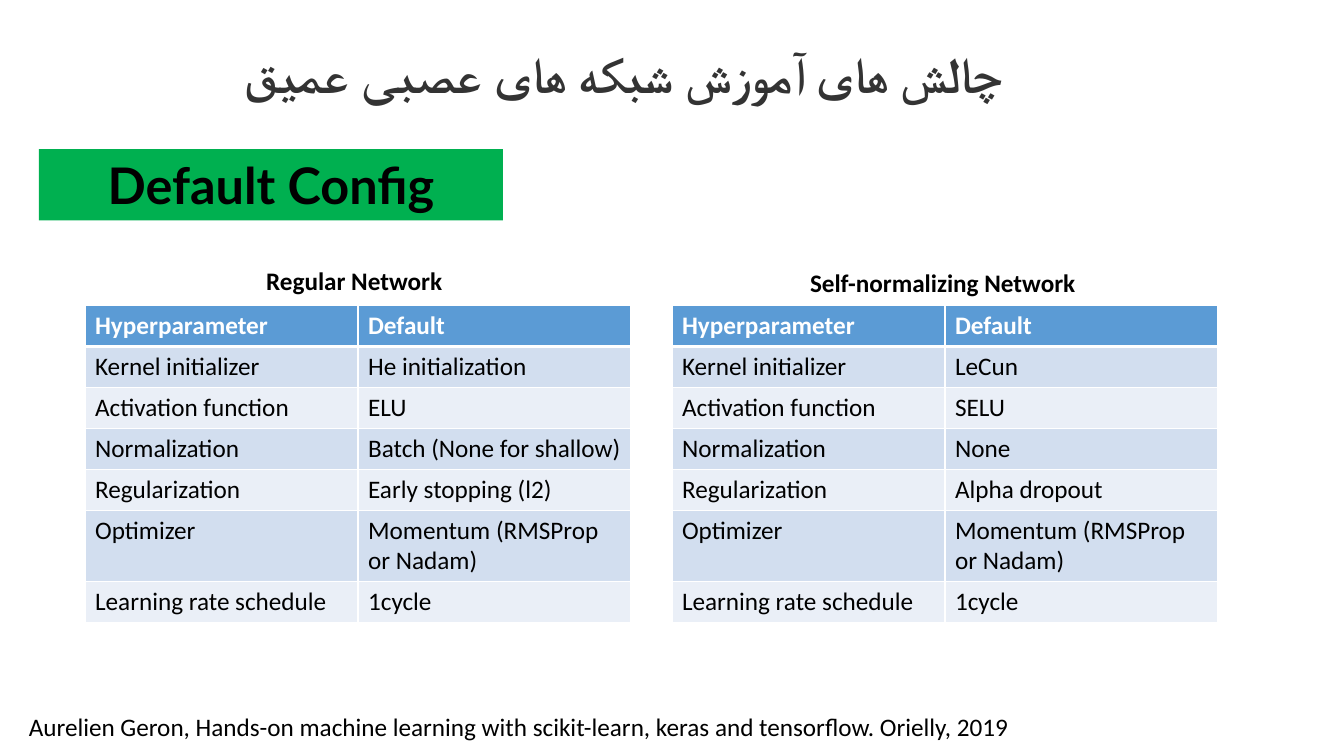
"""Build the slide comparing default configurations of two kinds of network."""
from dataclasses import dataclass
from typing import Any

from lxml.etree import SubElement
from pptx import Presentation
from pptx.dml.color import RGBColor
from pptx.enum.shapes import MSO_SHAPE as Preset
from pptx.enum.text import MSO_ANCHOR as Anchor, MSO_AUTO_SIZE as AutoSize, PP_ALIGN as Align
from pptx.oxml.ns import qn
from pptx.util import Emu, Pt

EMU_PER_PX = 9525


@dataclass(frozen=True)
class Theme:
    black: str = "000000"
    white: str = "FFFFFF"
    title: str = "333333"
    banner: str = "00B050"
    header: str = "5B9BD5"
    bands: tuple[str, str] = ("D2DEEF", "EAEFF7")
    large: int = 36
    body: int = 18
    thin: int = 1
    thick: int = 3
    heading_font: str = "Lato"
    body_font: str = "Calibri"


THEME = Theme()


@dataclass(frozen=True)
class TextStyle:
    size: int = THEME.body
    font: str = THEME.body_font
    color: str = THEME.black
    bold: bool = False
    align: Align | None = None
    rtl: bool = False


@dataclass(frozen=True)
class Label:
    text: str
    box: tuple[int, int, int, int]
    style: TextStyle
    fill: str | None = None


@dataclass(frozen=True)
class ConfigTable:
    left: int
    defaults: tuple[str, ...]


TABLE_TOP, COLUMN_WIDTH, ROW_HEIGHT = 291, 260, 39
BOLD = TextStyle(bold=True)
HEADER = TextStyle(color=THEME.white, bold=True)
BANNER = TextStyle(THEME.large, THEME.heading_font, bold=True, align=Align.CENTER)
TITLE = TextStyle(THEME.large, THEME.heading_font, THEME.title, True, Align.CENTER, True)

LABELS = (
    Label("چالش های آموزش شبکه های عصبی عمیق", (159, 36, 871, 68), TITLE),
    Label("Default Config", (37, 142, 442, 68), BANNER, THEME.banner),
    Label("Regular Network", (244, 248, 225, 38), BOLD),
    Label("Self-normalizing Network", (762, 250, 330, 38), BOLD),
    Label("Aurelien Geron, Hands-on machine learning with scikit-learn, keras and tensorflow. "
          "Orielly, 2019", (18, 673, 955, 38), TextStyle()),
)
HYPERPARAMETERS = ("Hyperparameter", "Kernel initializer", "Activation function", "Normalization",
                   "Regularization", "Optimizer", "Learning rate schedule")
TABLES = (
    ConfigTable(81, ("Default", "He initialization", "ELU", "Batch (None for shallow)",
                     "Early stopping (l2)", "Momentum (RMSProp or Nadam)", "1cycle")),
    ConfigTable(640, ("Default", "LeCun", "SELU", "None",
                      "Alpha dropout", "Momentum (RMSProp or Nadam)", "1cycle")),
)


def px(length: int) -> Emu:
    return Emu(length * EMU_PER_PX)


def set_values(target: Any, values: dict[str, Any]) -> None:
    for name, value in values.items():
        setattr(target, name, value)


def fill_solid(target: Any, color: str) -> None:
    target.fill.solid()
    target.fill.fore_color.rgb = RGBColor.from_string(color)


def write_text(frame: Any, text: str, style: TextStyle) -> None:
    paragraph = frame.paragraphs[0]
    run = paragraph.add_run()
    run.text = text
    set_values(run.font, {"size": Pt(style.size), "name": style.font, "bold": style.bold})
    run.font.color.rgb = RGBColor.from_string(style.color)
    if style.align is not None:
        paragraph.alignment = style.align
    if style.rtl:
        paragraph._p.get_or_add_pPr().set("rtl", "1")
        SubElement(run._r.get_or_add_rPr(), qn("a:cs"), typeface=style.font)


def draw_label(slide: Any, label: Label) -> None:
    box = [px(length) for length in label.box]
    if label.fill:
        shape = slide.shapes.add_shape(Preset.RECTANGLE, *box)
        shape.shadow.inherit = False
        shape.line.fill.background()
        fill_solid(shape, label.fill)
    else:
        shape = slide.shapes.add_textbox(*box)
    set_values(shape.text_frame, {"word_wrap": True, "auto_size": AutoSize.SHAPE_TO_FIT_TEXT,
                                  "vertical_anchor": Anchor.TOP})
    write_text(shape.text_frame, label.text, label.style)


def draw_borders(cell: Any, top: int, bottom: int) -> None:
    properties = cell._tc.get_or_add_tcPr()
    widths = {"a:lnL": THEME.thin, "a:lnR": THEME.thin, "a:lnT": top, "a:lnB": bottom}
    for tag, width in widths.items():
        line = SubElement(properties, qn(tag), w=str(Pt(width)))
        SubElement(SubElement(line, qn("a:solidFill")), qn("a:srgbClr"), val=THEME.white)


def draw_table(slide: Any, config: ConfigTable) -> None:
    rows = list(zip(HYPERPARAMETERS, config.defaults))
    table = slide.shapes.add_table(len(rows), 2, px(config.left), px(TABLE_TOP),
                                   px(2 * COLUMN_WIDTH), px(len(rows) * ROW_HEIGHT)).table
    for row_index, row in enumerate(rows):
        is_header = row_index == 0
        top = THEME.thick if row_index == 1 else THEME.thin
        bottom = THEME.thick if is_header else THEME.thin
        color = THEME.header if is_header else THEME.bands[(row_index - 1) % 2]
        for column_index, text in enumerate(row):
            cell = table.cell(row_index, column_index)
            draw_borders(cell, top, bottom)
            fill_solid(cell, color)
            write_text(cell.text_frame, text, HEADER if is_header else TextStyle())


def main() -> None:
    presentation = Presentation()
    set_values(presentation, {"slide_width": px(1280), "slide_height": px(720)})
    slide = presentation.slides.add_slide(presentation.slide_layouts[6])
    for config in TABLES:
        draw_table(slide, config)
    for label in LABELS:
        draw_label(slide, label)
    presentation.save("out.pptx")


if __name__ == "__main__":
    main()
